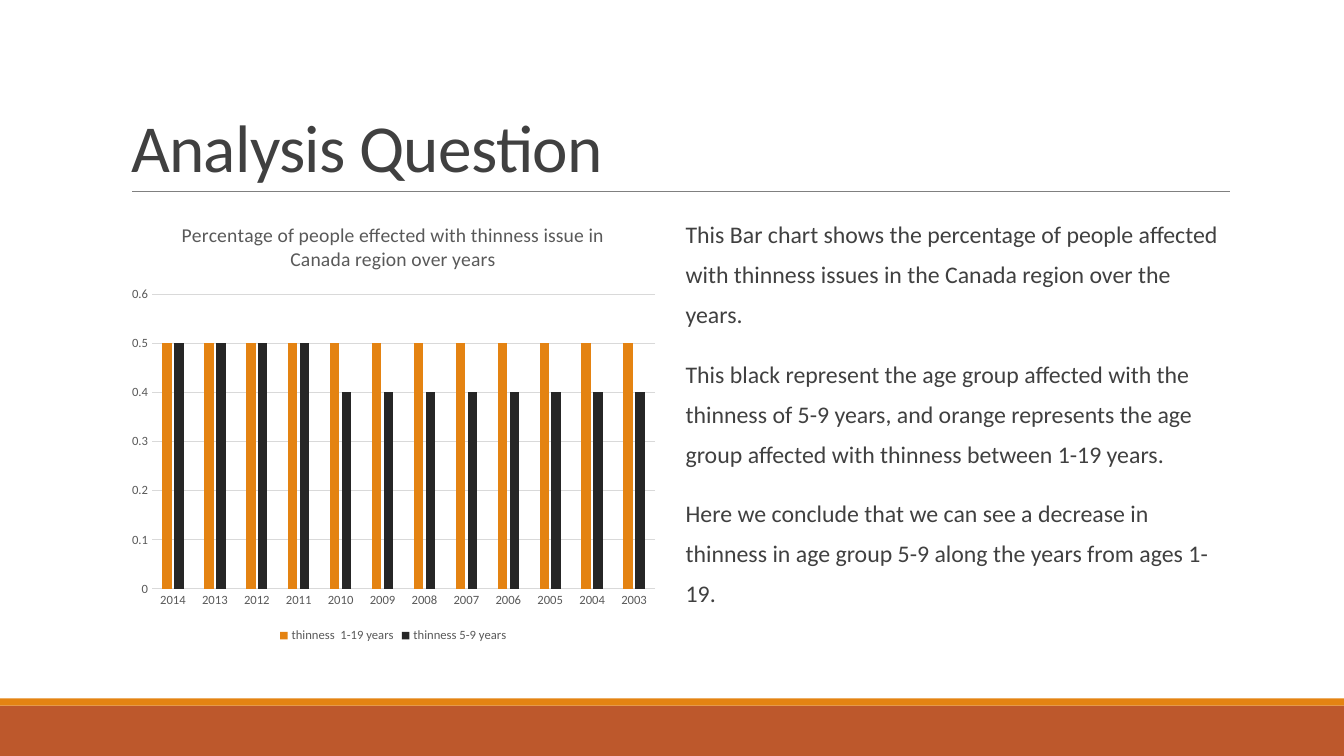
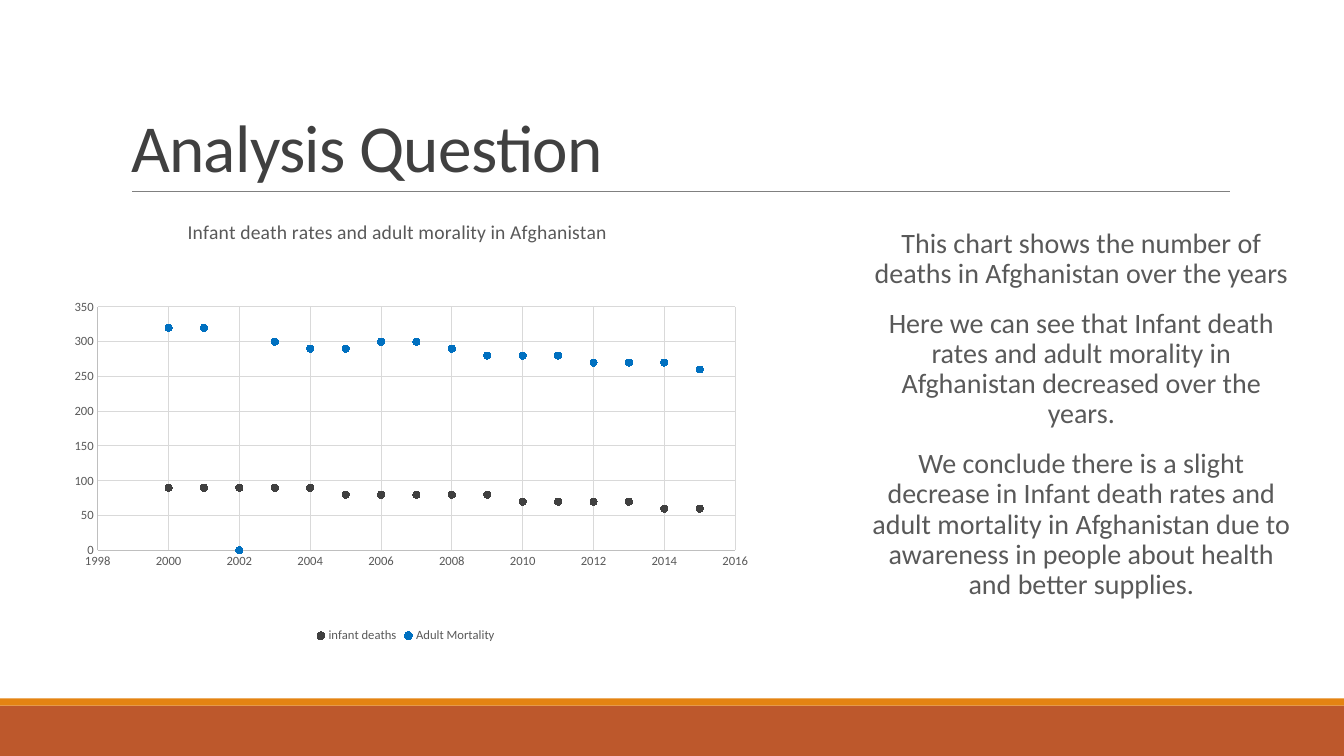
from dataclasses import dataclass

from lxml import etree
from pptx import Presentation
from pptx.chart.chart import Chart
from pptx.chart.data import CategoryChartData, XyChartData
from pptx.dml.color import RGBColor
from pptx.enum.chart import XL_CHART_TYPE, XL_LEGEND_POSITION, XL_MARKER_STYLE, XL_TICK_MARK
from pptx.enum.shapes import MSO_CONNECTOR, MSO_SHAPE
from pptx.enum.text import MSO_ANCHOR, MSO_AUTO_SIZE, PP_ALIGN
from pptx.oxml.ns import qn
from pptx.util import Inches, Pt

COLUMNS = XL_CHART_TYPE.COLUMN_CLUSTERED
SCATTER = XL_CHART_TYPE.XY_SCATTER
BOTTOM_LEGEND = XL_LEGEND_POSITION.BOTTOM
CIRCLE = XL_MARKER_STYLE.CIRCLE
NO_TICK = XL_TICK_MARK.NONE
STRAIGHT = MSO_CONNECTOR.STRAIGHT
RECTANGLE = MSO_SHAPE.RECTANGLE
TOP, BOTTOM = MSO_ANCHOR.TOP, MSO_ANCHOR.BOTTOM
NO_AUTOFIT = MSO_AUTO_SIZE.NONE
LEFT, CENTER = PP_ALIGN.LEFT, PP_ALIGN.CENTER

FONT = "Calibri"
WHITE = RGBColor(0xFF, 0xFF, 0xFF)
RUST = RGBColor(0xBD, 0x58, 0x2C)
ORANGE = RGBColor(0xE4, 0x83, 0x12)
BLUE = RGBColor(0x00, 0x70, 0xC0)
BLACK = RGBColor(0x26, 0x26, 0x26)
DARK = RGBColor(0x40, 0x40, 0x40)
GRAY = RGBColor(0x59, 0x59, 0x59)
RULE = RGBColor(0x80, 0x80, 0x80)
AXIS = RGBColor(0xBF, 0xBF, 0xBF)
GRID = RGBColor(0xD9, 0xD9, 0xD9)

Box = tuple[float, float, float, float]


@dataclass(frozen=True)
class Band:
    top: float
    height: float
    color: RGBColor


@dataclass(frozen=True)
class Series:
    name: str
    values: list[float]
    color: RGBColor


@dataclass(frozen=True)
class ChartPanel:
    """A chart; title_at and plot_at are percentages of its frame."""
    title: str
    box: Box
    title_at: tuple[float, float]
    plot_at: Box
    years: list[int]
    series: list[Series]


@dataclass(frozen=True)
class Commentary:
    box: Box
    paragraphs: list[str]
    size: float
    color: RGBColor
    line_spacing: float
    align: PP_ALIGN = LEFT
    indent: float = 0


BANDS = [Band(7, 0.5, RUST), Band(6.93, 0.07, ORANGE)]
TITLE_BOX = (1.2, 0.31, 11, 1.59)

THINNESS = ChartPanel(
    "Percentage of people effected with thinness issue in Canada region over years",
    (1.2, 2.02, 5.4, 4.4), (10.5, 3.1), (5.7, 20.4, 92.4, 66.5),
    list(range(2014, 2002, -1)),
    [Series("thinness  1-19 years", [0.5] * 12, ORANGE),
     Series("thinness 5-9 years", [0.5] * 4 + [0.4] * 8, BLACK)],
)
THINNESS_TEXT = Commentary(
    (6.8, 2.02, 5.4, 4.4),
    ["This Bar chart shows the percentage of people affected with thinness issues "
     "in the Canada region over the years.",
     "This black represent the age group affected with the thinness of 5-9 years, "
     "and orange represents the age group affected with thinness between 1-19 years.",
     "Here we conclude that we can see a decrease in thinness in age group 5-9 "
     "along the years from ages 1-19."],
    17, DARK, 1.4,
)
MORTALITY = ChartPanel(
    "Infant death rates and adult morality in Afghanistan",
    (0.37, 2.02, 7.31, 4.4), (19.9, 2.5), (8.2, 23.3, 86.5, 54.9),
    list(range(2015, 1999, -1)),
    [Series("infant deaths",
            [60, 60, 70, 70, 70, 70, 80, 80, 80, 80, 80, 90, 90, 90, 90, 90], DARK),
     Series("Adult Mortality",
            [260, 270, 270, 270, 280, 280, 280, 290, 300, 300, 290, 290, 300, 0, 320, 320],
            BLUE)],
)
MORTALITY_TEXT = Commentary(
    (8.56, 2.22, 4.25, 4.2),
    ["This chart shows the number of deaths in Afghanistan over the years",
     "Here we can see that Infant death rates and adult morality in Afghanistan "
     "decreased over the years.",
     "We conclude there is a slight decrease in Infant death rates and adult "
     "mortality in Afghanistan due to awareness in people about health and better supplies."],
    20, GRAY, 0.9, CENTER, 0.08,
)


def inches(box: Box) -> list[int]:
    return [Inches(length) for length in box]


def move(shape, box: Box) -> None:
    shape.left, shape.top, shape.width, shape.height = inches(box)


def write(paragraph, text: str, *, size: float, color: RGBColor, align=LEFT,
          line_spacing: float = 1, before: float = 0, after: float = 0,
          tracking: float = 0, indent: float = 0) -> None:
    """Fill a paragraph without a bullet; tracking is in points, indent in inches."""
    paragraph.alignment = align
    paragraph.line_spacing = line_spacing
    paragraph.space_before, paragraph.space_after = Pt(before), Pt(after)
    properties = paragraph._p.get_or_add_pPr()
    properties.set("marL", str(Inches(indent)))
    properties.set("indent", "0")
    etree.SubElement(properties, qn("a:buNone"))
    run = paragraph.add_run()
    run.text = text
    run.font.name, run.font.size, run.font.bold = FONT, Pt(size), False
    run.font.color.rgb = color
    if tracking:
        run._r.get_or_add_rPr().set("spc", str(round(tracking * 100)))


def draw_frame(slide) -> None:
    """Draw the footer bands and the rule below the title."""
    for band in BANDS:
        strip = slide.shapes.add_shape(
            RECTANGLE, *inches((0, band.top, 13.33, band.height)))
        strip.shadow.inherit = False
        strip.fill.solid()
        strip.fill.fore_color.rgb = band.color
        strip.line.fill.background()
    rule = slide.shapes.add_connector(STRAIGHT, *inches((1.31, 1.9, 12.2, 1.9)))
    rule.line.color.rgb = RULE
    rule.line.width = Pt(0.5)
    etree.SubElement(rule._element.spPr, qn("a:effectLst"))


def add_title(slide, text: str) -> None:
    title = slide.shapes.title
    move(title, TITLE_BOX)
    frame = title.text_frame
    frame.auto_size, frame.vertical_anchor = NO_AUTOFIT, BOTTOM
    write(frame.paragraphs[0], text, size=48, color=DARK, line_spacing=0.85, tracking=-0.5)


def add_commentary(slide, commentary: Commentary) -> None:
    body = slide.placeholders[1]
    move(body, commentary.box)
    frame = body.text_frame
    frame.auto_size, frame.vertical_anchor = NO_AUTOFIT, TOP
    frame.margin_left = frame.margin_right = 0
    for index, text in enumerate(commentary.paragraphs):
        paragraph = frame.add_paragraph() if index else frame.paragraphs[0]
        write(paragraph, text, size=commentary.size, color=commentary.color,
              align=commentary.align, line_spacing=commentary.line_spacing,
              before=12, after=2, indent=commentary.indent)


def set_layout(parent, index: int, percentages: dict[str, float], **modes: str) -> None:
    """Give a chart part a manual layout as its child number index."""
    for old in parent.findall(qn("c:layout")):
        parent.remove(old)
    layout = etree.Element(qn("c:layout"))
    manual = etree.SubElement(layout, qn("c:manualLayout"))
    fractions = {tag: f"{value / 100:.3f}" for tag, value in percentages.items()}
    for tag, value in (modes | fractions).items():
        etree.SubElement(manual, qn(f"c:{tag}")).set("val", value)
    parent.insert(index, layout)


def style_axis(axis, line_color: RGBColor | None, gridlines: bool) -> None:
    axis.major_tick_mark = axis.minor_tick_mark = NO_TICK
    axis.has_major_gridlines = gridlines
    if gridlines:
        axis.major_gridlines.format.line.color.rgb = GRID
        axis.major_gridlines.format.line.width = Pt(0.75)
    if line_color is None:
        axis.format.line.fill.background()
    else:
        axis.format.line.color.rgb = line_color
        axis.format.line.width = Pt(0.75)


def set_scale(axis, low: float, high: float, step: float) -> None:
    axis.minimum_scale, axis.maximum_scale, axis.major_unit = low, high, step


def add_panel(slide, kind, panel: ChartPanel, data) -> Chart:
    """Add a chart with the title, legend and text style that both slides share."""
    chart = slide.shapes.add_chart(kind, *inches(panel.box), data).chart
    chart.font.name, chart.font.size = FONT, Pt(9)
    chart.font.color.rgb = GRAY
    chart.has_title = True
    heading = chart.chart_title
    write(heading.text_frame.paragraphs[0], panel.title, size=14, color=GRAY, align=CENTER)
    set_layout(heading._element, 1, dict(zip("xy", panel.title_at)),
               xMode="edge", yMode="edge")
    set_layout(chart._chartSpace.chart.plotArea, 0, dict(zip("xywh", panel.plot_at)),
               layoutTarget="inner", xMode="edge", yMode="edge")
    chart.has_legend = True
    chart.legend.position = BOTTOM_LEGEND
    chart.legend.include_in_layout = False
    chart.plots[0].vary_by_categories = False
    return chart


def add_column_chart(slide, panel: ChartPanel) -> None:
    data = CategoryChartData()
    data.categories = [str(year) for year in panel.years]
    for series in panel.series:
        data.add_series(series.name, series.values)
    chart = add_panel(slide, COLUMNS, panel, data)
    plot = chart.plots[0]
    plot.gap_width, plot.overlap = 219, -27
    for drawn, series in zip(plot.series, panel.series):
        drawn.format.fill.solid()
        drawn.format.fill.fore_color.rgb = series.color
    style_axis(chart.category_axis, GRID, gridlines=False)
    style_axis(chart.value_axis, None, gridlines=True)
    set_scale(chart.value_axis, 0, 0.6, 0.1)


def add_scatter_chart(slide, panel: ChartPanel) -> None:
    data = XyChartData()
    for series in panel.series:
        points = data.add_series(series.name)
        for year, value in zip(panel.years, series.values):
            points.add_data_point(year, value)
    chart = add_panel(slide, SCATTER, panel, data)
    for drawn, series in zip(chart.plots[0].series, panel.series):
        drawn.smooth = False
        drawn.format.line.fill.background()
        marker = drawn.marker
        marker.style, marker.size = CIRCLE, 5
        marker.format.fill.solid()
        marker.format.fill.fore_color.rgb = series.color
        marker.format.line.color.rgb = series.color
    for axis in (chart.category_axis, chart.value_axis):
        style_axis(axis, AXIS, gridlines=True)
    set_scale(chart.category_axis, 1998, 2016, 2)
    set_scale(chart.value_axis, 0, 350, 50)


def main() -> None:
    deck = Presentation()
    deck.slide_width, deck.slide_height = Inches(13.33), Inches(7.5)
    background = deck.slide_master.background.fill
    background.solid()
    background.fore_color.rgb = WHITE
    for add_chart, panel, commentary in (
        (add_column_chart, THINNESS, THINNESS_TEXT),
        (add_scatter_chart, MORTALITY, MORTALITY_TEXT),
    ):
        slide = deck.slides.add_slide(deck.slide_layouts[1])
        draw_frame(slide)
        add_title(slide, "Analysis Question")
        add_chart(slide, panel)
        add_commentary(slide, commentary)
    deck.save("out.pptx")


if __name__ == "__main__":
    main()
